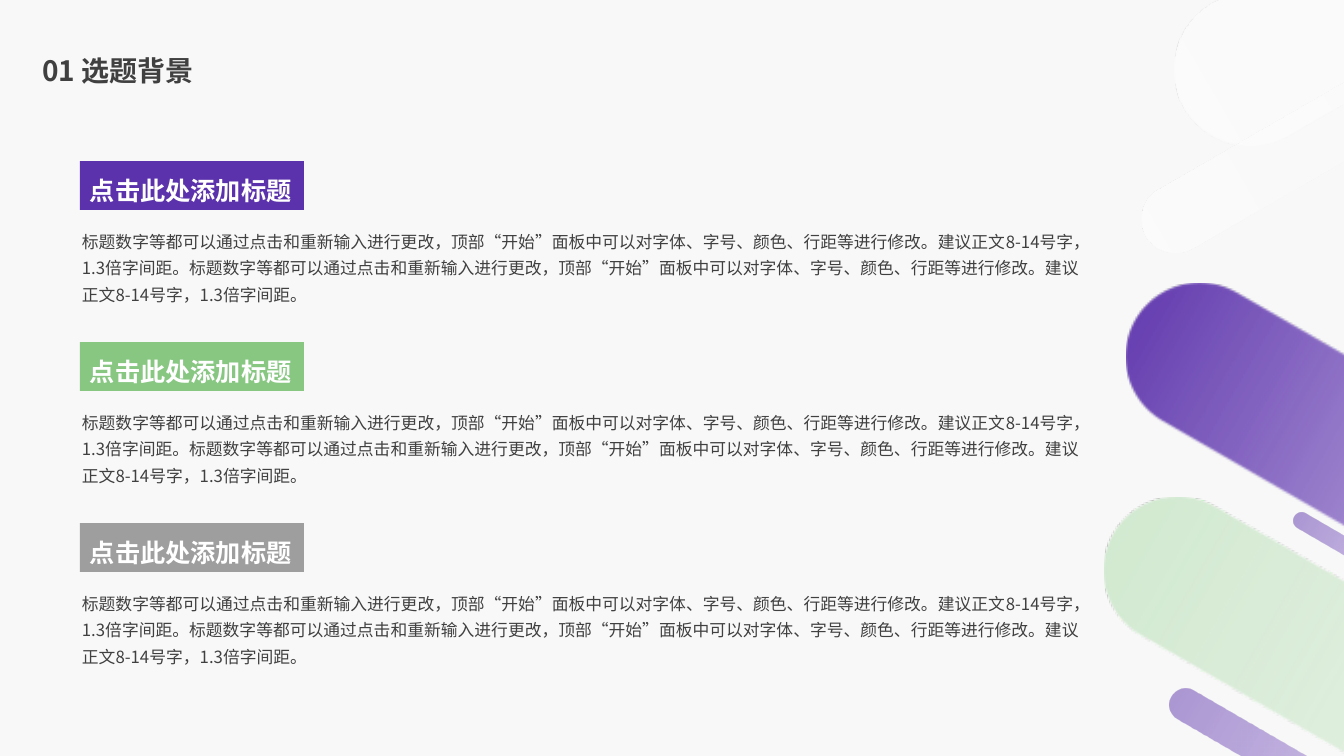
from lxml import etree
from pptx import Presentation
from pptx.dml.color import RGBColor
from pptx.enum.shapes import MSO_SHAPE
from pptx.enum.text import MSO_ANCHOR, MSO_AUTO_SIZE, PP_ALIGN
from pptx.oxml.ns import qn
from pptx.util import Pt

HEADING = "01 选题背景"
SECTION_TITLE = "点击此处添加标题"
ADVICE = (
    "标题数字等都可以通过点击和重新输入进行更改，顶部“开始”面板中可以对字体、"
    "字号、颜色、行距等进行修改。建议正文8-14号字，1.3倍字间距。"
)
SECTION_COLORS = ["5B32AB", "87C782", "9E9E9E"]
INK, WHITE, BACKDROP = "404040", "FFFFFF", "F8F8F8"
BODY_FONT, TITLE_FONT = "Noto Sans CJK SC", "League Spartan"

FADE_END = [(85, WHITE, 50), (100, WHITE, 50)]
PURPLE = [(0, "5B32AB", 100), (23, "5F34B2", 40)] + FADE_END
PALE_PURPLE = [(0, "5B32AB", 50), (23, "5F34B2", 40)] + FADE_END
GREEN = [(0, "D0E9CE", 100), (22, "D0E9CE", 50)] + FADE_END
MIST = [(0, WHITE, 50), (21, WHITE, 29), (85, WHITE, 0), (100, WHITE, 0)]
PILLS = [
    ((998, 764, 2071, 148), 30, PURPLE),
    ((1105, -267, 1196, 152), 330, MIST),
    ((1111, 69, 531, 68), 330, MIST),
    ((976, 978, 2071, 148), 30, GREEN),
    ((1278, 570, 246, 17), 30, PALE_PURPLE),
    ((1140, 799, 473, 33), 30, PALE_PURPLE),
]

SCALE = 914400 / 100.8
FIRST_TOP, SECTION_PITCH, BODY_DROP = 161, 181, 60


def px(*lengths):
    return [round(length * SCALE) for length in lengths]


def color(code):
    return RGBColor.from_string(code)


def write(frame, text, size, font, ink, bold, spacing):
    paragraph = frame.paragraphs[0]
    paragraph.alignment = PP_ALIGN.LEFT
    paragraph.line_spacing = spacing
    run = paragraph.add_run()
    run.text = text
    run.font.size = Pt(size)
    run.font.name = font
    run.font.bold = bold
    run.font.color.rgb = color(ink)
    east_asian = etree.SubElement(run.font._element, qn("a:ea"))
    east_asian.set("typeface", BODY_FONT)
    return paragraph


def fade(shape, stops):
    shape.fill.gradient()
    shape.fill.gradient_angle = 0
    stop_list = shape._element.spPr.find(qn("a:gradFill")).find(qn("a:gsLst"))
    for old_stop in list(stop_list):
        stop_list.remove(old_stop)
    for position, code, opacity in stops:
        stop = etree.SubElement(stop_list, qn("a:gs"), pos=str(position * 1000))
        tint = etree.SubElement(stop, qn("a:srgbClr"), val=code)
        etree.SubElement(tint, qn("a:alpha"), val=str(opacity * 1000))


def add_pill(shapes, box, turn, stops):
    pill = shapes.add_shape(MSO_SHAPE.ROUNDED_RECTANGLE, *px(*box))
    pill.adjustments[0] = 0.5
    pill.rotation = turn
    pill.shadow.inherit = False
    pill.line.fill.background()
    fade(pill, stops)


def add_section(shapes, top, code):
    section = shapes.add_group_shape().shapes
    advice = section.add_textbox(*px(72, top + BODY_DROP, 1027, 90)).text_frame
    advice.word_wrap = True
    advice.auto_size = MSO_AUTO_SIZE.SHAPE_TO_FIT_TEXT
    write(advice, ADVICE * 2, 12, BODY_FONT, INK, False, 1.3)

    banner = section.add_shape(MSO_SHAPE.RECTANGLE, *px(80, top, 224, 49))
    banner.shadow.inherit = False
    banner.fill.solid()
    banner.fill.fore_color.rgb = color(code)
    banner.line.fill.background()
    label = banner.text_frame
    label.word_wrap = False
    label.auto_size = MSO_AUTO_SIZE.SHAPE_TO_FIT_TEXT
    label.vertical_anchor = MSO_ANCHOR.TOP
    write(label, SECTION_TITLE, 18, TITLE_FONT, WHITE, True, 1.3)


def main():
    deck = Presentation()
    deck.slide_width, deck.slide_height = px(1344, 756)
    slide = deck.slides.add_slide(deck.slide_layouts[5])
    slide.background.fill.solid()
    slide.background.fill.fore_color.rgb = color(BACKDROP)

    for box, turn, stops in PILLS:
        add_pill(slide.shapes, box, turn, stops)

    heading = slide.shapes.title
    heading.left, heading.top, heading.width, heading.height = px(32, 43, 503, 58)
    heading.text_frame.vertical_anchor = MSO_ANCHOR.MIDDLE
    line = write(heading.text_frame, HEADING, 20, BODY_FONT, INK, True, 0.9)
    line.space_before = Pt(10)

    for index, code in enumerate(SECTION_COLORS):
        add_section(slide.shapes, FIRST_TOP + index * SECTION_PITCH, code)

    deck.save("out.pptx")


if __name__ == "__main__":
    main()
